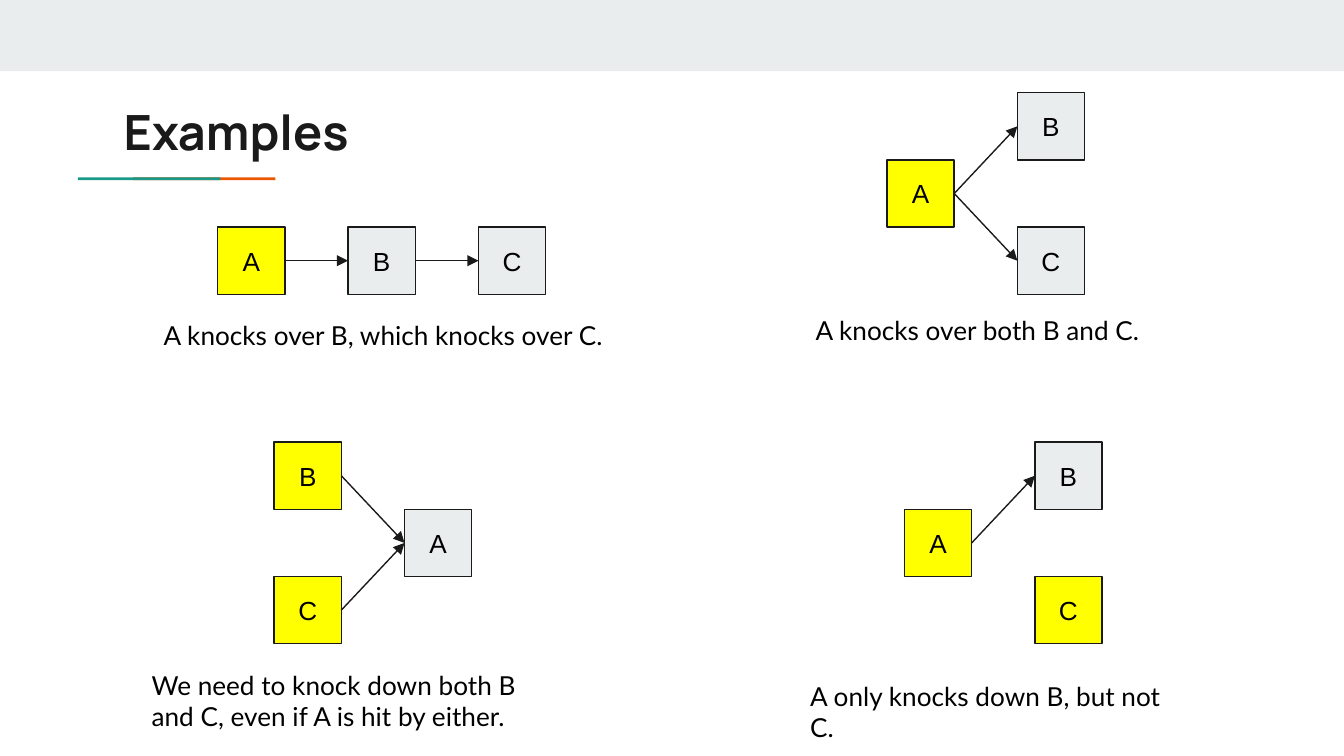
import pptx
import pptx.util
import pptx.dml.color
import pptx.enum.shapes
import pptx.enum.text
import pptx.oxml
import pptx.oxml.ns
from pptx.util import Inches

COLORS = {"ink": "1A1A1A", "text": "000000", "start": "FFFF00", "plain": "E9EDEE",
          "teal": "1A9988", "orange": "EB5600"}

BARS = [
    (0, 0, 10, 0.53, "plain"),
    (0.99, 1.32, 1.06, 0.02, "orange"),
    (0.58, 1.32, 1.06, 0.02, "teal"),
]

DIAGRAMS = [
    {"origin": (1.62, 1.69),
     "dominoes": {"A": (0, 0, "start"), "B": (1, 0, "plain"), "C": (2, 0, "plain")},
     "arrows": ["AB", "BC"],
     "caption": ("A knocks over B, which knocks over C.", 1.12, 2.28, 3.8)},
    {"origin": (6.6, 0.69),
     "dominoes": {"A": (0, 1, "start"), "B": (1, 0, "plain"), "C": (1, 2, "plain")},
     "arrows": ["AB", "AC"],
     "caption": ("A knocks over both B and C.", 5.97, 2.24, 2.98)},
    {"origin": (2.04, 3.29),
     "dominoes": {"A": (1, 1, "plain"), "B": (0, 0, "start"), "C": (0, 2, "start")},
     "arrows": ["BA", "CA"],
     "caption": ("We need to knock down both B and C, even if A is hit by either.",
                 1.03, 4.88, 2.98)},
    {"origin": (6.73, 3.29),
     "dominoes": {"A": (0, 1, "start"), "B": (1, 0, "plain"), "C": (1, 2, "start")},
     "arrows": ["AB"],
     "caption": ("A only knocks down B, but not C.", 5.93, 4.96, 2.98)},
]

SIDE = 0.5
COLUMN_STEP = 0.97
ROW_STEP = 0.5


def color(name):
    return pptx.dml.color.RGBColor.from_string(COLORS[name])


def write(shape, text, font, size, ink="text", bold=False, align="LEFT", anchor="TOP"):
    frame = shape.text_frame
    frame.text = text
    frame.word_wrap = True
    frame.auto_size = pptx.enum.text.MSO_AUTO_SIZE.NONE
    frame.vertical_anchor = pptx.enum.text.MSO_ANCHOR[anchor]
    frame.margin_left = frame.margin_right = Inches(0.1)
    frame.margin_top = frame.margin_bottom = Inches(0.1)
    para = frame.paragraphs[0]
    para.alignment = pptx.enum.text.PP_ALIGN[align]
    span = para.runs[0]
    span.font.name = font
    span.font.size = pptx.util.Pt(size)
    span.font.bold = bold
    span.font.color.rgb = color(ink)


def add_box(page, left, top, width, height, fill):
    box = page.shapes.add_shape(pptx.enum.shapes.MSO_SHAPE.RECTANGLE,
                                Inches(left), Inches(top), Inches(width), Inches(height))
    box.shadow.inherit = False
    box.fill.solid()
    box.fill.fore_color.rgb = color(fill)
    box.line.fill.background()
    return box


def outline(line):
    line.color.rgb = color("ink")
    line.width = pptx.util.Pt(0.75)


def add_arrow(page, source, target):
    arrow = page.shapes.add_connector(pptx.enum.shapes.MSO_CONNECTOR.STRAIGHT, 0, 0, 0, 0)
    arrow.begin_connect(source, 3)
    arrow.end_connect(target, 1)
    outline(arrow.line)
    tail = pptx.oxml.parse_xml(f'<a:tailEnd {pptx.oxml.ns.nsdecls("a")} type="triangle"/>')
    arrow.line._get_or_add_ln().append(tail)
    effects = pptx.oxml.parse_xml(f'<a:effectLst {pptx.oxml.ns.nsdecls("a")}/>')
    arrow._element.spPr.append(effects)


def add_diagram(page, diagram):
    left, top = diagram["origin"]
    boxes = {}
    for letter, (column, row, fill) in diagram["dominoes"].items():
        box = add_box(page, left + column * COLUMN_STEP, top + row * ROW_STEP, SIDE, SIDE, fill)
        outline(box.line)
        write(box, letter, "Arial", 14, align="CENTER", anchor="MIDDLE")
        boxes[letter] = box
    for source, target in diagram["arrows"]:
        add_arrow(page, boxes[source], boxes[target])
    text, left, top, width = diagram["caption"]
    caption = page.shapes.add_textbox(Inches(left), Inches(top), Inches(width), Inches(0.35))
    write(caption, text, "Lato", 14)


def main():
    deck = pptx.Presentation()
    deck.slide_width = Inches(10)
    deck.slide_height = Inches(10) * 9 // 16
    page = deck.slides.add_slide(deck.slide_layouts[5])
    title = page.shapes.title
    title.left, title.top = Inches(0.82), Inches(0.66)
    title.width, title.height = Inches(8.41), Inches(0.59)
    write(title, "Examples", "Manrope", 26, ink="ink", bold=True)
    for bar in BARS:
        add_box(page, *bar)
    for diagram in DIAGRAMS:
        add_diagram(page, diagram)
    deck.save("out.pptx")


if __name__ == "__main__":
    main()
